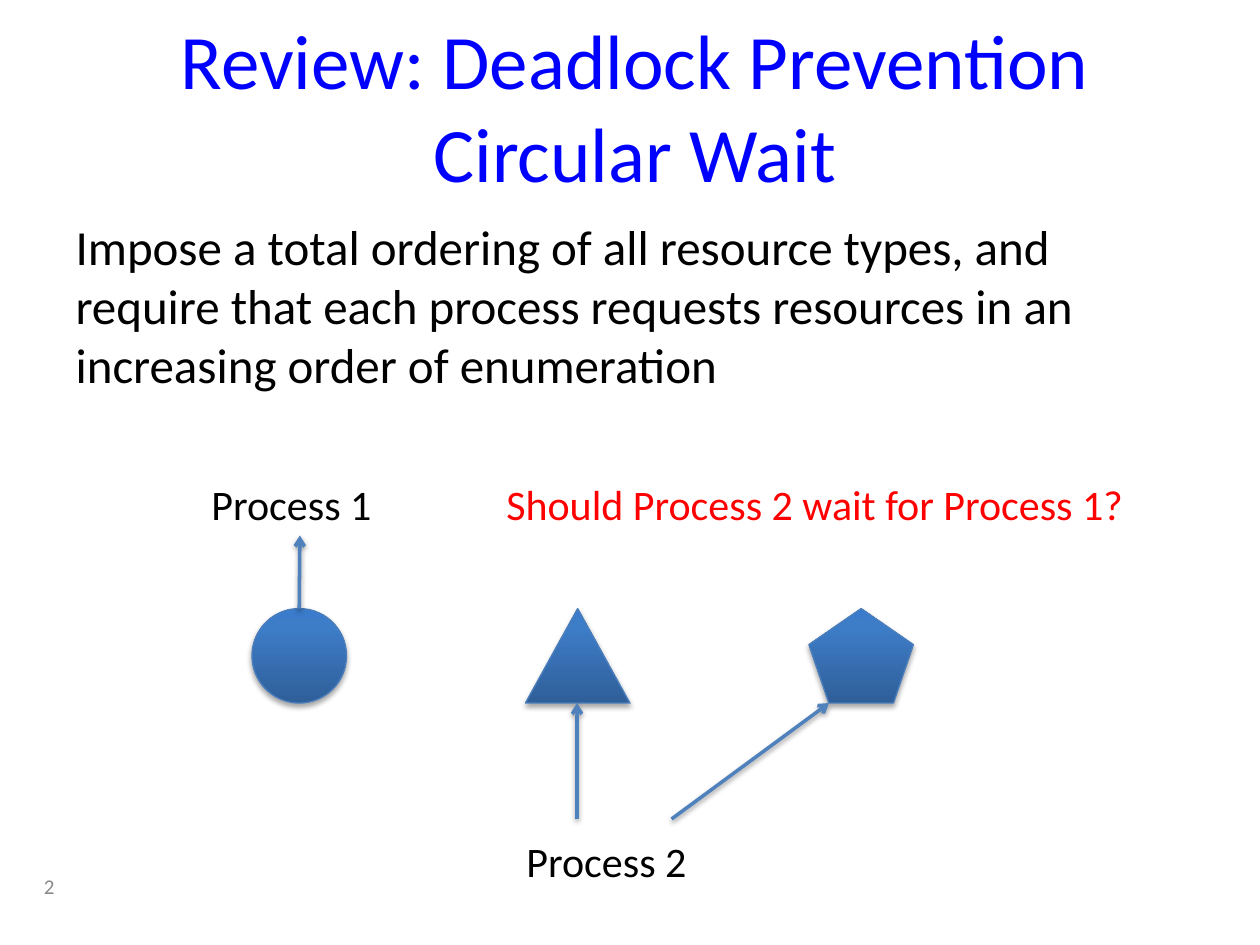
from dataclasses import dataclass

from lxml import etree
from copy import deepcopy
from pptx import Presentation
from pptx.dml.color import RGBColor as Rgb
from pptx.enum import shapes, text
from pptx.oxml.ns import qn
from pptx.util import Inches, Pt


@dataclass
class Theme:
    font: str = "Calibri"
    blue: str = "0000FF"
    black: str = "000000"
    red: str = "FF0000"
    gray: str = "898989"
    edge: str = "4B7EBC"
    arrow: str = "4F81BD"
    grad: tuple = ((0, "2F5F99"), (0.8, "3D7CC7"), (1, "3A7CCB"))
    head: int = 44
    body: int = 28
    label: int = 24
    small: int = 12


def write(box, area, words, size, color):
    box.left, box.top, box.width, box.height = map(Inches, area)
    frame = box.text_frame
    frame.word_wrap = True
    para = frame.paragraphs[0]
    para.text = words
    for run in para.runs:
        run.font.name = theme.font
        run.font.size = Pt(size)
        run.font.color.rgb = Rgb.from_string(color)
    return frame


def shade(item, dist, alpha):
    props = item._element.spPr
    for old in props.findall(qn("a:effectLst")):
        props.remove(old)
    group = etree.SubElement(props, qn("a:effectLst"))
    drop = etree.SubElement(group, qn("a:outerShdw"), blurRad=str(Pt(3.1)),
                            dist=str(Pt(dist)), dir="5400000", rotWithShape="0")
    tint = etree.SubElement(drop, qn("a:srgbClr"), val=theme.black)
    etree.SubElement(tint, qn("a:alpha"), val=str(alpha * 1000))


theme = Theme()
deck = Presentation()
deck.slide_width, deck.slide_height = Inches(10), Inches(7.5)
slide = deck.slides.add_slide(deck.slide_layouts[1])
title, body = slide.placeholders

frame = write(title, (0.25, 0.17, 9.58, 1.33),
              "Review: Deadlock Prevention\vCircular Wait", theme.head, theme.blue)
frame.vertical_anchor = text.MSO_ANCHOR.MIDDLE
frame.paragraphs[0].alignment = text.PP_ALIGN.CENTER

frame = write(body, (0.5, 1.67, 8.66, 1.75),
              "Impose a total ordering of all resource types, and require that each "
              "process requests resources in an increasing order of enumeration",
              theme.body, theme.black)
props = frame.paragraphs[0]._p.get_or_add_pPr()
props.set("marL", "0")
props.set("indent", "0")
etree.SubElement(props, qn("a:buNone"))

kinds = shapes.MSO_SHAPE
nodes = []
for kind, left, width in (
    (kinds.OVAL, 2, 0.75),
    (kinds.ISOSCELES_TRIANGLE, 4.17, 0.83),
    (kinds.REGULAR_PENTAGON, 6.42, 0.83),
):
    node = slide.shapes.add_shape(kind, Inches(left), Inches(4.83),
                                  Inches(width), Inches(0.75))
    node.fill.gradient()
    node.fill.gradient_angle = 90
    stops = node.fill._xPr.find(qn("a:gradFill")).find(qn("a:gsLst"))
    stops.append(deepcopy(stops[-1]))
    for stop, (place, color) in zip(node.fill.gradient_stops, theme.grad):
        stop.position = place
        stop.color.rgb = Rgb.from_string(color)
    node.line.color.rgb = Rgb.from_string(theme.edge)
    node.line.width = Pt(0.75)
    shade(node, 1.8, 35)
    nodes.append(node)

links = []
for ends in (
    (2.38, 4.83, 2.38, 4.25),
    (4.58, 6.5, 4.58, 5.58),
    (5.33, 6.5, 6.58, 5.58),
):
    link = slide.shapes.add_connector(shapes.MSO_CONNECTOR.STRAIGHT, *map(Inches, ends))
    link.line.color.rgb = Rgb.from_string(theme.arrow)
    link.line.width = Pt(2)
    etree.SubElement(link.line._get_or_add_ln(), qn("a:tailEnd"), type="arrow")
    shade(link, 1.6, 38)
    links.append(link)
links[0].begin_connect(nodes[0], 0)

for words, left, top, width, color in (
    ("Process 1", 1.58, 3.75, 1.58, theme.black),
    ("Process 2", 4.08, 6.58, 1.58, theme.black),
    ("Should Process 2 wait for Process 1?", 3.92, 3.75, 5.33, theme.red),
):
    box = slide.shapes.add_textbox(0, 0, 0, 0)
    frame = write(box, (left, top, width, 0.5), words, theme.label, color)
    frame.auto_size = text.MSO_AUTO_SIZE.SHAPE_TO_FIT_TEXT

box = slide.shapes.add_textbox(0, 0, 0, 0)
frame = write(box, (0.25, 6.83, 1.33, 0.4), "2", theme.small, theme.gray)
frame.vertical_anchor = text.MSO_ANCHOR.MIDDLE

deck.save("out.pptx")
